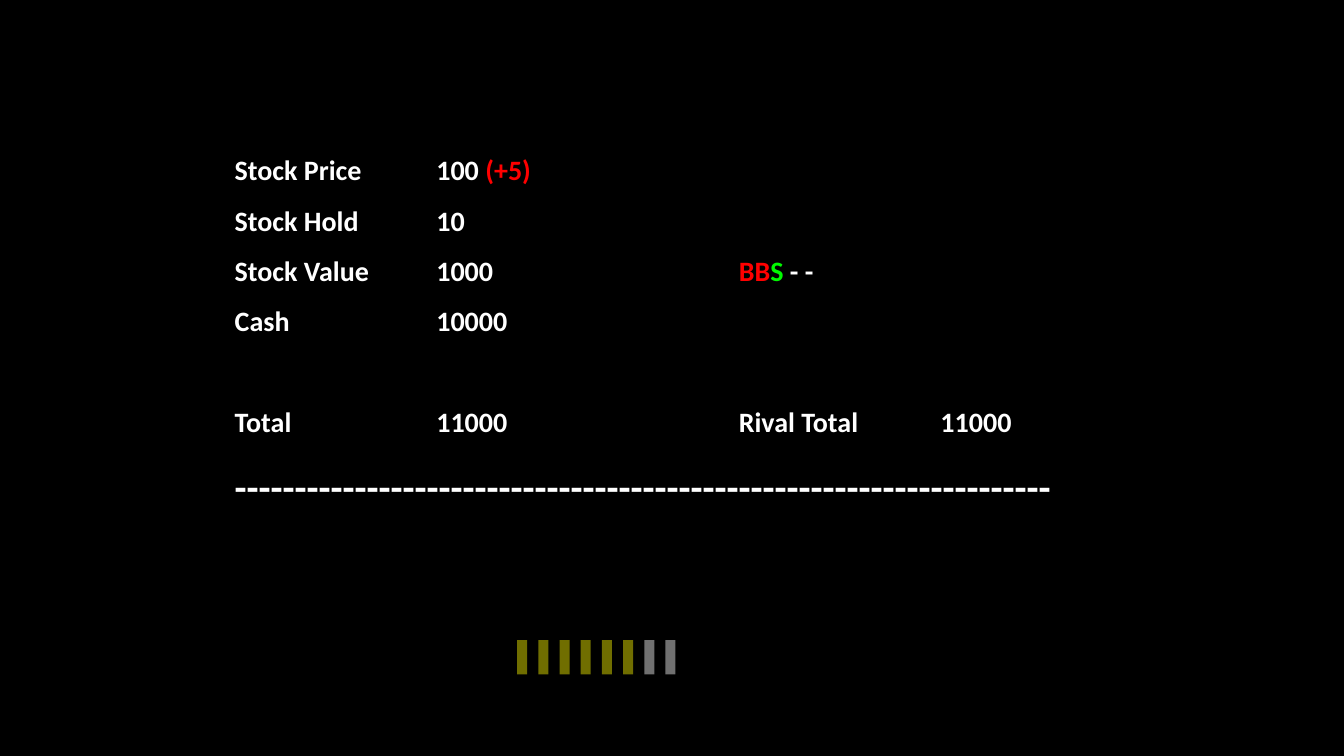
from dataclasses import dataclass

from lxml.etree import SubElement as Sub
from pptx import Presentation as Deck
from pptx.dml.color import RGBColor as Rgb
from pptx.enum.shapes import MSO_SHAPE as Kind
from pptx.enum.text import MSO_AUTO_SIZE as Fit
from pptx.oxml.ns import qn
from pptx.slide import Slide
from pptx.text.text import _Paragraph as Para
from pptx.util import Inches, Pt

CELL = 0.1
WHITE, RED, GREEN, YELLOW = "FFFFFF", "FF0000", "00FA00", "FFFC00"
STOPS = (20, 50, 70)


@dataclass(frozen=True)
class Word:
    text: str
    color: str = WHITE


@dataclass(frozen=True)
class Row:
    words: tuple[Word, ...]
    size: int = 20
    before: int = 0


@dataclass(frozen=True)
class Meter:
    left: float = 51.3
    top: float = 63.5
    width: float = 1
    height: float = 3.4
    step: float = 2.1
    full: int = 6
    total: int = 8


ROWS = (
    Row((Word("Stock Price\t100 "), Word("(+5)", RED))),
    Row((Word("Stock Hold\t10"),)),
    Row((Word("Stock Value\t1000\t"), Word("BB", RED), Word("S ", GREEN), Word("- -"))),
    Row((Word("Cash\t10000"),)),
    Row((Word("Total\t11000\tRival Total\t11000"),), before=36),
    Row((Word("-" * 68),), size=28),
)


def grid(cells: float) -> int:
    return Inches(cells * CELL)


def paint(fill, color: str) -> None:
    fill.solid()
    fill.fore_color.rgb = Rgb.from_string(color)


def write(para: Para, row: Row) -> None:
    para.line_spacing = 1.5
    para.space_before = Pt(row.before)
    tabs = Sub(para._p.get_or_add_pPr(), qn("a:tabLst"))
    for stop in STOPS:
        Sub(tabs, qn("a:tab"), pos=str(grid(stop)), algn="l")
    for word in row.words:
        run = para.add_run()
        run.text = word.text
        run.font.name = "Calibri"
        run.font.size = Pt(row.size)
        run.font.bold = True
        paint(run.font.fill, word.color)


def report(slide: Slide, rows: tuple[Row, ...]) -> None:
    box = slide.shapes.add_textbox(grid(22.3), grid(13), grid(85.7), grid(37.6))
    frame = box.text_frame
    frame.word_wrap = True
    frame.auto_size = Fit.SHAPE_TO_FIT_TEXT
    for i, row in enumerate(rows):
        write(frame.add_paragraph() if i else frame.paragraphs[0], row)


def gauge(slide: Slide, meter: Meter) -> None:
    for i in range(meter.total):
        bar = slide.shapes.add_shape(
            Kind.RECTANGLE,
            grid(meter.left + i * meter.step),
            grid(meter.top),
            grid(meter.width),
            grid(meter.height),
        )
        bar.shadow.inherit = False
        paint(bar.fill, YELLOW if i < meter.full else WHITE)
        tint = bar.element.xpath(".//a:solidFill/a:srgbClr")[0]
        Sub(tint, qn("a:alpha"), val="44000")
        bar.line.fill.background()


def main() -> None:
    deck = Deck()
    deck.slide_width, deck.slide_height = Inches(13.33), Inches(7.5)
    slide = deck.slides.add_slide(deck.slide_layouts[6])
    paint(slide.background.fill, "000000")
    report(slide, ROWS)
    gauge(slide, Meter())
    deck.save("out.pptx")


if __name__ == "__main__":
    main()
